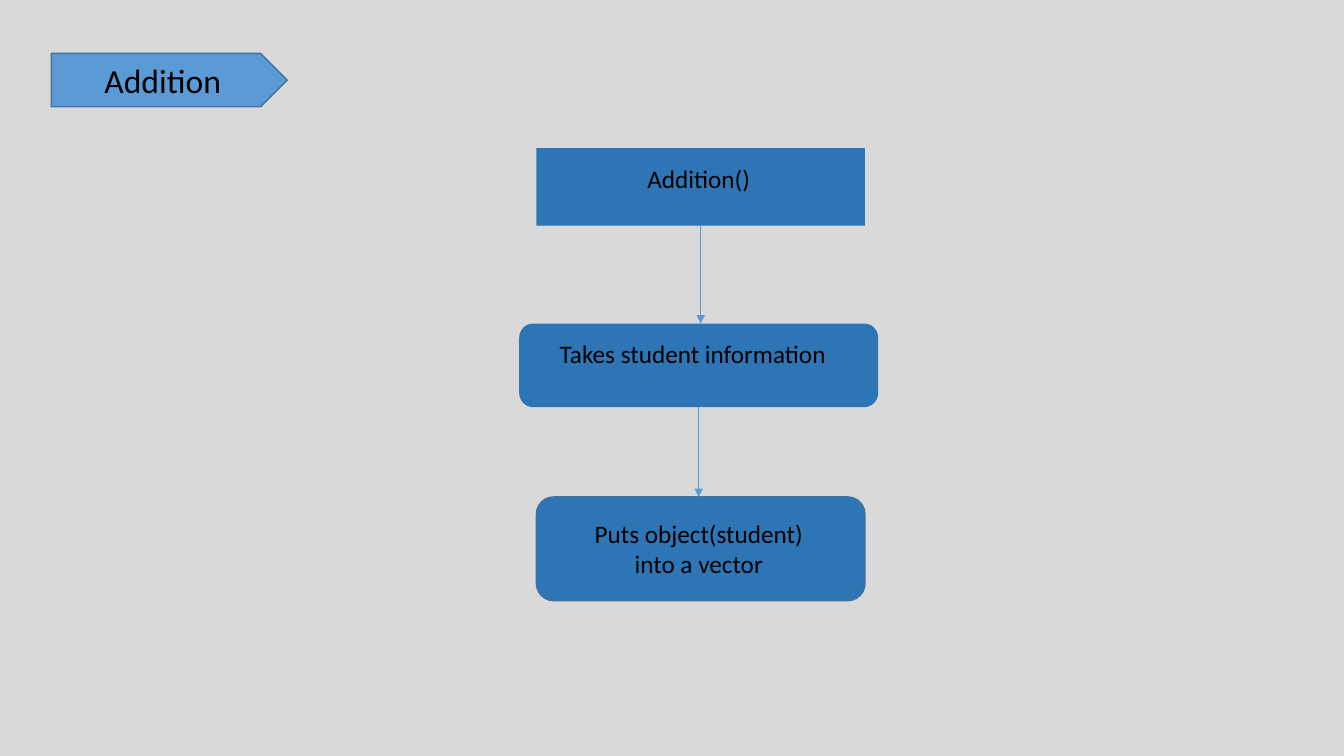
from dataclasses import dataclass

from lxml import etree
from pptx import Presentation
from pptx.dml.color import RGBColor
from pptx.enum import shapes, text
from pptx.oxml import ns
from pptx.util import Inches, Pt


@dataclass(frozen=True)
class Theme:
    background: str = "D9D9D9"
    step: str = "2E75B6"
    accent: str = "5B9BD5"
    outline: str = "43739E"
    ink: str = "000000"
    font: str = "Calibri"
    title_size: float = 24
    label_size: float = 18
    outline_width: float = 1
    arrow_width: float = 0.5


class FlowSlide:
    def __init__(self, deck, theme):
        self.theme = theme
        self.page = deck.slides.add_slide(deck.slide_layouts[5])
        self.paint(self.page.background.fill, theme.background)

    def paint(self, fill, color):
        fill.solid()
        fill.fore_color.rgb = RGBColor.from_string(color)

    def shape(self, kind, place, color, outlined=False):
        box = self.page.shapes.add_shape(kind, *map(Inches, place))
        box.shadow.inherit = False
        self.paint(box.fill, color)
        if outlined:
            self.paint(box.line.fill, self.theme.outline)
            box.line.width = Pt(self.theme.outline_width)
        else:
            box.line.fill.background()
        return box

    def set_text(self, box, words, size, anchor):
        frame = box.text_frame
        frame.text = words
        layout = {"word_wrap": True, "vertical_anchor": anchor,
                  "auto_size": text.MSO_AUTO_SIZE.NONE}
        for name, value in layout.items():
            setattr(frame, name, value)
        para = frame.paragraphs[0]
        para.alignment = text.PP_ALIGN.CENTER
        span = para.runs[0]
        for name, value in {"name": self.theme.font, "size": Pt(size)}.items():
            setattr(span.font, name, value)
        span.font.color.rgb = RGBColor.from_string(self.theme.ink)

    def title(self, words, left, top, width, height):
        """Set the title on a pentagon, centred clear of half its point."""
        banner = self.shape(shapes.MSO_SHAPE.PENTAGON, (left, top, width, height),
                            self.theme.accent, outlined=True)
        box = self.page.shapes.title
        box._element.addprevious(banner._element)
        place = {"left": left, "top": top, "width": width - height / 4, "height": height}
        for name, value in place.items():
            setattr(box, name, Inches(value))
        self.set_text(box, words, self.theme.title_size, text.MSO_ANCHOR.MIDDLE)

    def label(self, words, place):
        box = self.page.shapes.add_textbox(*map(Inches, place))
        self.set_text(box, words, self.theme.label_size, text.MSO_ANCHOR.TOP)

    def arrow_down(self, start, end):
        """Drop a vertical arrow from the bottom of one step to the top of the next."""
        center = start.left + start.width // 2
        line = self.page.shapes.add_connector(
            shapes.MSO_CONNECTOR.STRAIGHT, center, start.top + start.height, center, end.top)
        line.begin_connect(start, 2)
        self.paint(line.line.fill, self.theme.accent)
        line.line.width = Pt(self.theme.arrow_width)
        etree.SubElement(line.line._get_or_add_ln(), ns.qn("a:tailEnd"), type="triangle")
        etree.SubElement(line._element.spPr, ns.qn("a:effectLst"))


def main():
    deck = Presentation()
    deck.slide_width, deck.slide_height = Inches(13.33), Inches(7.5)
    slide = FlowSlide(deck, Theme())
    slide.title("Addition", 0.51, 0.53, 2.34, 0.53)

    square = shapes.MSO_SHAPE.RECTANGLE
    rounded = shapes.MSO_SHAPE.ROUNDED_RECTANGLE
    steps = [
        ("Addition()", square, (5.32, 1.47, 3.26, 0.77), (5.67, 1.57, 2.52, 0.4), False),
        ("Takes student information", rounded,
         (5.15, 3.21, 3.56, 0.83), (5.32, 3.31, 3.1, 0.4), False),
        ("Puts object(student) into a vector", rounded,
         (5.32, 4.93, 3.26, 1.03), (5.67, 5.09, 2.52, 0.71), True),
    ]
    previous = None
    for words, kind, box_place, label_place, outlined in steps:
        box = slide.shape(kind, box_place, slide.theme.step, outlined)
        slide.label(words, label_place)
        if previous is not None:
            slide.arrow_down(previous, box)
        previous = box

    deck.save("out.pptx")


if __name__ == "__main__":
    main()
